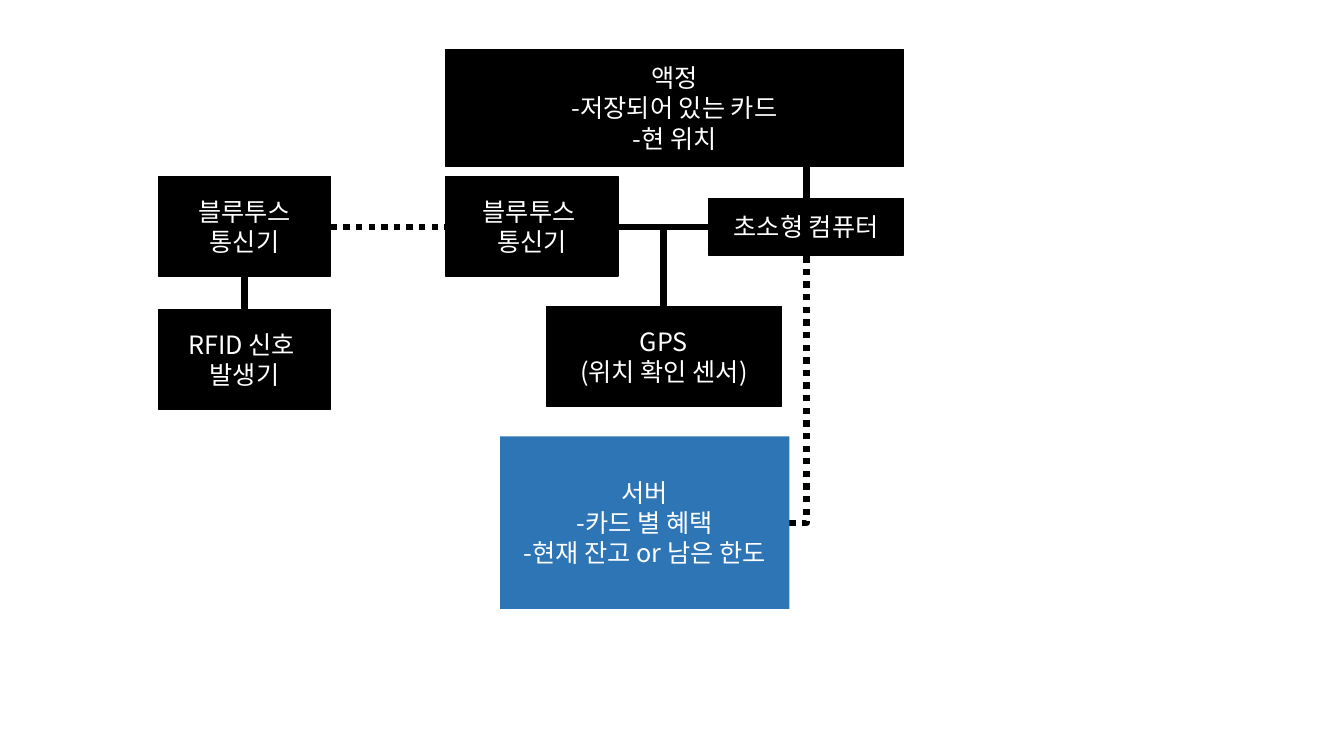
from pptx import Presentation
from pptx.dml.color import RGBColor
from pptx.enum.dml import MSO_LINE as Dash
from pptx.enum.shapes import MSO_CONNECTOR as Conn, MSO_SHAPE as Shape
from pptx.enum.text import MSO_ANCHOR as Anchor, PP_ALIGN as Align
from pptx.oxml.ns import qn
from pptx.util import Inches, Pt
from lxml import etree

FACE = "Noto Sans CJK KR"
FONT = {"name": FACE, "size": Pt(18)}
BLACK, BLUE, WHITE = "000000", "2E75B6", "FFFFFF"


def tint(color, code):
    color.rgb = RGBColor.from_string(code)


def paint(fill, code):
    fill.solid()
    tint(fill.fore_color, code)


def block(slide, box, rows, fill=BLACK, edge=True):
    """Filled box with centred lines of text."""
    rect = slide.shapes.add_shape(Shape.RECTANGLE, *map(Inches, box))
    rect.shadow.inherit = False
    paint(rect.fill, fill)
    if edge:
        paint(rect.line.fill, fill)
        rect.line.width = Pt(1)
    else:
        rect.line.fill.background()
    frame = rect.text_frame
    frame.word_wrap = True
    frame.vertical_anchor = Anchor.MIDDLE
    for i, row in enumerate(rows):
        para = frame.add_paragraph() if i else frame.paragraphs[0]
        para.alignment = Align.CENTER
        run = para.add_run()
        run.text = row
        for key, value in FONT.items():
            setattr(run.font, key, value)
        tint(run.font.color, WHITE)
        # East Asian typeface
        etree.SubElement(run.font._element, qn("a:ea")).set("typeface", FACE)


def link(slide, start, end, bent=False, dots=False):
    """Thick line; a bent one runs level first, then upright."""
    kind = Conn.ELBOW if bent else Conn.STRAIGHT
    line = slide.shapes.add_connector(kind, *map(Inches, start + end))
    props = line._element.spPr
    if bent:
        props.find(qn("a:prstGeom")).set("prst", "bentConnector2")
    paint(line.line.fill, BLACK)
    line.line.width = Pt(4.5)
    if dots:
        line.line.dash_style = Dash.ROUND_DOT
    etree.SubElement(props, qn("a:effectLst"))


def remote(slide, x, y):
    """Card side: Bluetooth unit above the RFID unit."""
    wide, high, step = 1.71, 0.99, 1.32
    mid = x + wide / 2
    link(slide, (mid, y + high), (mid, y + step))
    block(slide, (x, y, wide, high), ["블루투스", "통신기"])
    block(slide, (x, y + step, wide, high), ["RFID 신호 ", "발생기"])


def device(slide, x, y):
    """Main side: screen, Bluetooth unit, board, GPS and server."""
    wide, unit, high = 4.54, 1.71, 0.99
    left, axis = x + 2.61, y + 1.76
    mid, gps, base = left + 0.97, y + 2.55, y + 3.84
    stem, side = x + 2.16, x + 3.41

    # Links
    link(slide, (mid, axis), (mid, y + 0.53))
    link(slide, (x + unit, axis), (left, axis))
    link(slide, (left, axis), (stem, gps), bent=True)
    link(slide, (side, base + 0.86), (mid, axis + 0.28), bent=True, dots=True)

    # Boxes
    block(slide, (x, y, wide, 1.16), ["액정", "-저장되어 있는 카드", "-현 위치"])
    block(slide, (x, y + 1.26, unit, high), ["블루투스 ", "통신기"])
    block(slide, (left, axis - 0.28, 1.93, 0.56), ["초소형 컴퓨터"])
    block(slide, (x + 1, gps, 2.33, high), ["GPS", "(위치 확인 센서)"])
    block(slide, (side - 2.87, base, 2.87, 1.71),
          ["서버", "-카드 별 혜택", "-현재 잔고 or 남은 한도"], BLUE, False)


def main():
    deck = Presentation()
    deck.slide_width, deck.slide_height = Inches(13.33), Inches(7.5)
    slide = deck.slides.add_slide(deck.slide_layouts[6])
    remote(slide, 1.57, 1.75)
    device(slide, 4.42, 0.49)
    # Wireless link between the two sides
    link(slide, (3.28, 2.25), (4.42, 2.25), dots=True)
    deck.save("out.pptx")


if __name__ == "__main__":
    main()
